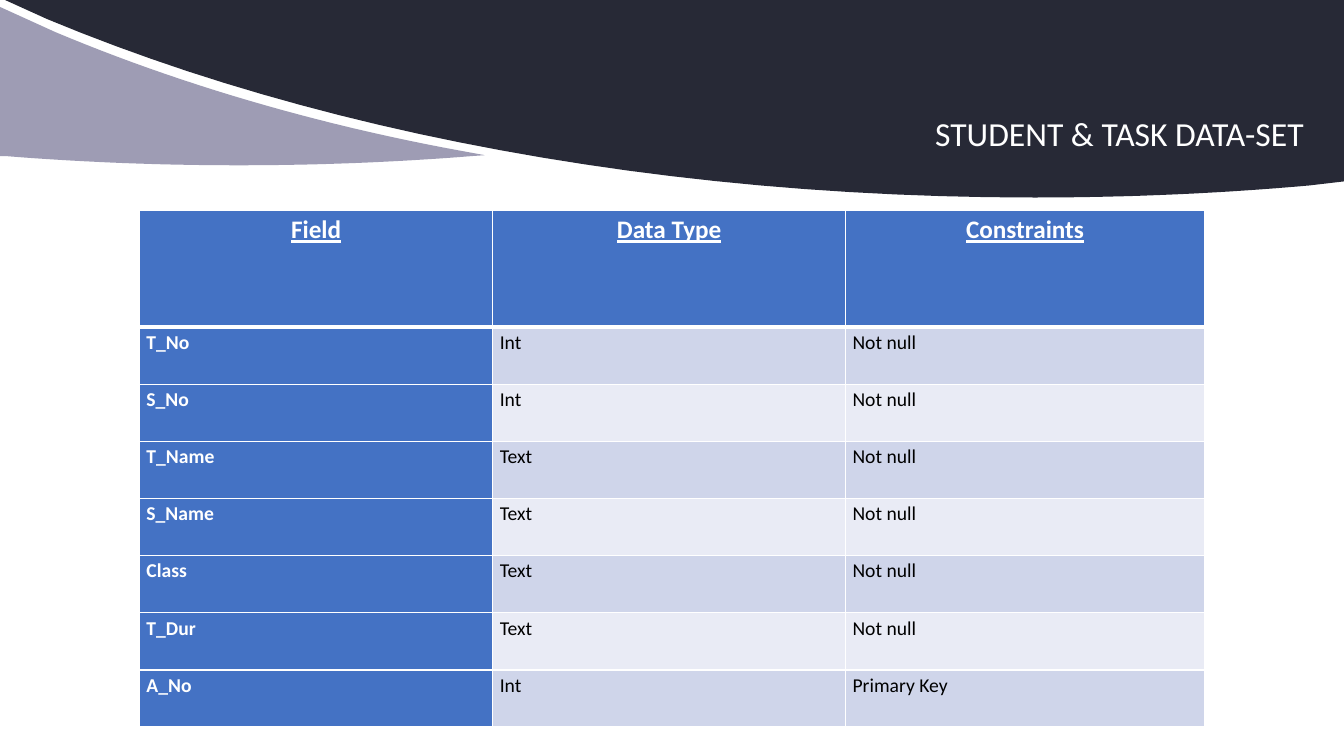
from lxml.etree import SubElement
from pptx import Presentation
from pptx.dml.color import RGBColor
from pptx.enum.text import MSO_ANCHOR as Anchor, PP_ALIGN as Align
from pptx.oxml.ns import qn
from pptx.util import Pt

COLORS = {
    "dark": "272936", "lilac": "9E9CB4", "blue": "4472C4",
    "odd": "CFD5EA", "even": "E9EBF5", "white": "FFFFFF", "black": "000000",
}
CURVE_STEPS = 24


def color(name):
    return RGBColor.from_string(COLORS[name])


def trace(segments):
    points = [segments[0]]
    for segment in segments[1:]:
        if len(segment) == 2:
            points.append(segment)
            continue
        x0, y0 = points[-1]
        x1, y1, x2, y2, x3, y3 = segment
        for step in range(1, CURVE_STEPS + 1):
            t = step / CURVE_STEPS
            u = 1 - t
            a, b, c, d = u**3, 3 * u * u * t, 3 * u * t * t, t**3
            points.append((a * x0 + b * x1 + c * x2 + d * x3,
                           a * y0 + b * y1 + c * y2 + d * y3))
    return [(Pt(x), Pt(y)) for x, y in points]


deck = Presentation()
deck.slide_width, deck.slide_height = Pt(960), Pt(540)
page = deck.slides.add_slide(deck.slide_layouts[5])

waves = {
    "dark": [(3.6, 0), (960, 0), (960, 129.6), (935.3, 132.5),
             (871.2, 138.2, 805.7, 141.1, 738.7, 141.1),
             (470.9, 141.1, 225.4, 93.6, 33.8, 13.7)],
    "lilac": [(0, 5), (39.6, 23), (125.3, 59, 223.9, 88.6, 330.5, 108),
              (346.3, 110.9), (336.2, 111.6),
              (282.2, 115.9, 226.8, 118.1, 170.6, 118.1),
              (114.5, 118.1, 59, 115.9, 5, 111.6), (0, 111.6)],
}
for name, segments in waves.items():
    points = trace(segments)
    builder = page.shapes.build_freeform(*points[0])
    builder.add_line_segments(points[1:], close=True)
    wave = builder.convert_to_shape()
    wave.shadow.inherit = False
    wave.fill.solid()
    wave.fill.fore_color.rgb = color(name)
    wave.line.fill.background()

rows = [
    ("Field", "Data Type", "Constraints"),
    ("T_No", "Int", "Not null"),
    ("S_No", "Int", "Not null"),
    ("T_Name", "Text", "Not null"),
    ("S_Name", "Text", "Not null"),
    ("Class", "Text", "Not null"),
    ("T_Dur", "Text", "Not null"),
    ("A_No", "Int", "Primary Key"),
]
widths = [252.4, 252, 256.4]
heights = [83.8] + [40.8] * 7
table = page.shapes.add_table(len(rows), len(widths), Pt(99.6), Pt(150),
                              Pt(sum(widths)), Pt(sum(heights))).table
for column, width in zip(table.columns, widths):
    column.width = Pt(width)
for row, height in zip(table.rows, heights):
    row.height = Pt(height)

for r, texts in enumerate(rows):
    for c, text in enumerate(texts):
        header = r == 0
        accent = header or c == 0
        cell = table.cell(r, c)
        cell.margin_left = cell.margin_right = Pt(5)
        cell.margin_top = cell.margin_bottom = 0
        properties = cell._tc.get_or_add_tcPr()
        for side in ("lnL", "lnR", "lnT", "lnB"):
            thick = (r, side) in [(0, "lnB"), (1, "lnT")]
            border = SubElement(properties, qn(f"a:{side}"), w=str(Pt(3 if thick else 1)))
            paint = SubElement(border, qn("a:solidFill"))
            SubElement(paint, qn("a:srgbClr"), val=COLORS["white"])
        cell.fill.solid()
        cell.fill.fore_color.rgb = color("blue" if accent else "odd" if r % 2 else "even")
        para = cell.text_frame.paragraphs[0]
        para.text = text
        para.alignment = Align.CENTER if header else Align.LEFT
        para.line_spacing = 1.15
        font = para.runs[0].font
        font.name, font.size = "Calibri", Pt(18 if header else 14)
        font.bold, font.underline = accent, header
        font.color.rgb = color("white" if accent else "black")

title = page.shapes.title
title.left, title.top, title.width, title.height = Pt(240), Pt(80), Pt(720), Pt(56)
page.shapes._spTree.append(title._element)
frame = title.text_frame
frame.text = "STUDENT & TASK DATA-SET"
frame.word_wrap = True
frame.vertical_anchor = Anchor.TOP
frame.margin_left, frame.margin_right = Pt(7.2), Pt(28.8)
frame.margin_top = frame.margin_bottom = Pt(3.6)
para = frame.paragraphs[0]
para.alignment = Align.RIGHT
para.line_spacing = 0.9
font = para.runs[0].font
font.name, font.size = "Calibri", Pt(24)
font.color.rgb = color("white")

deck.save("out.pptx")
